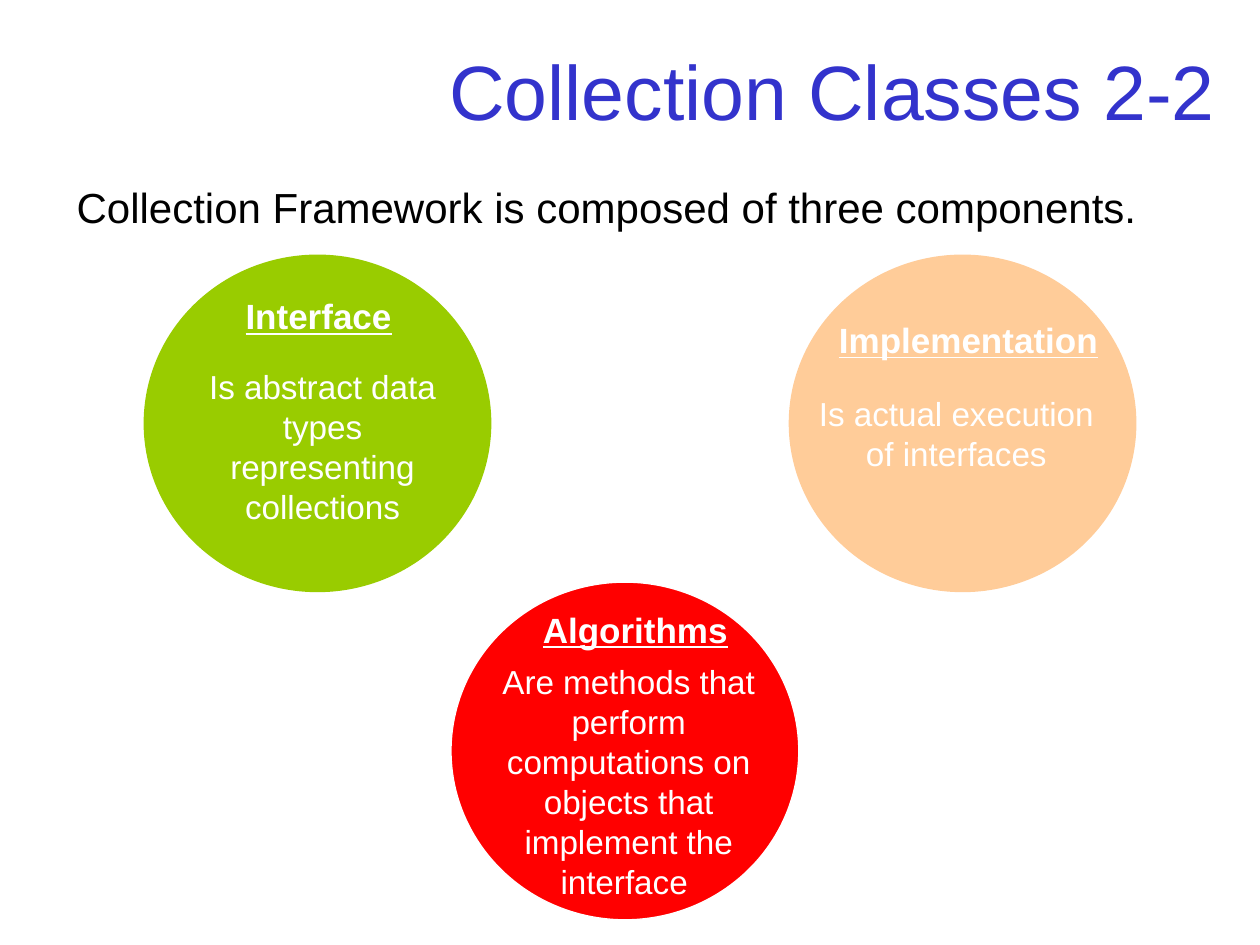
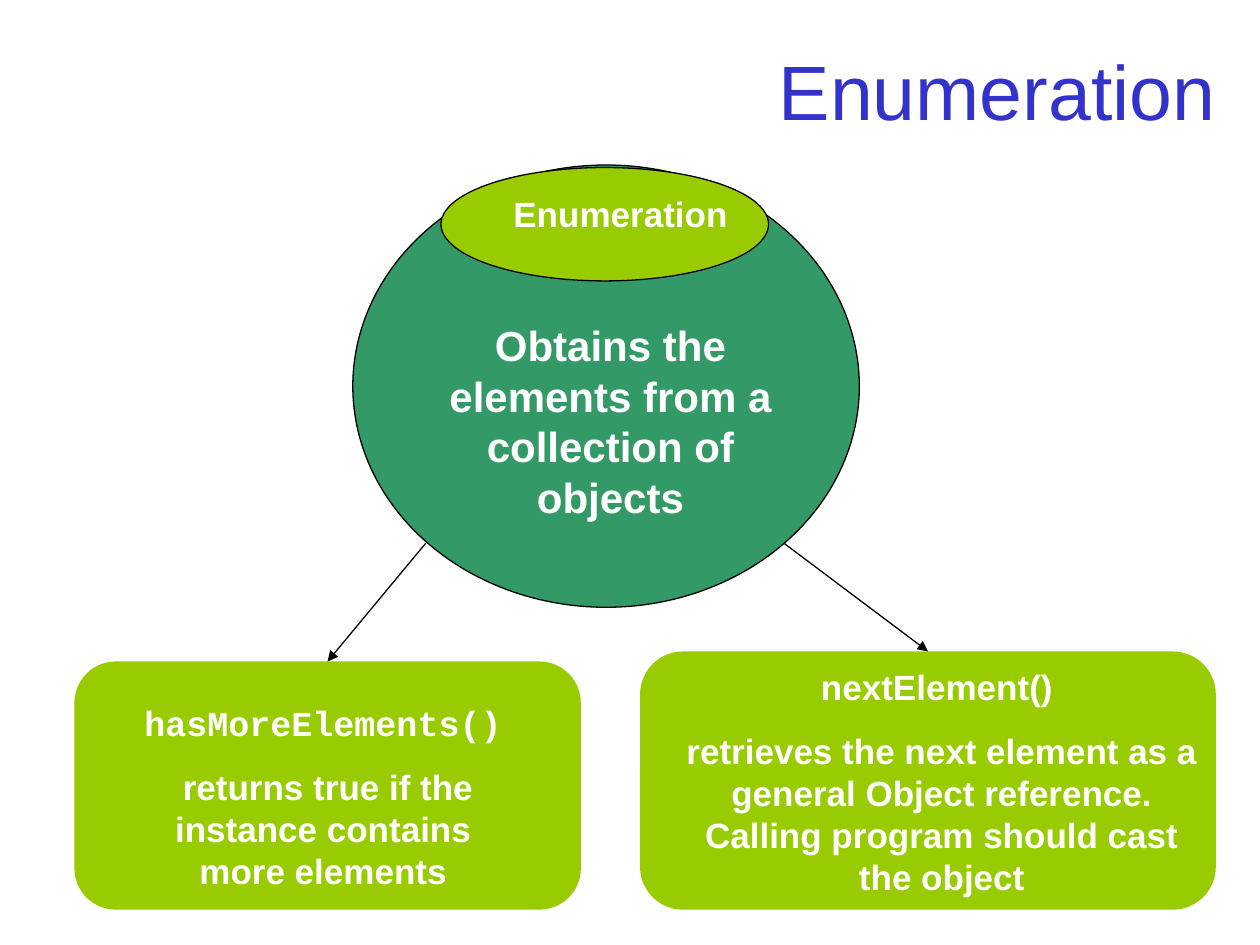
from dataclasses import dataclass
from typing import Optional

from lxml.etree import SubElement
from pptx import Presentation
from pptx.dml.color import RGBColor as Rgb
from pptx.enum.shapes import MSO_CONNECTOR as Connector, MSO_SHAPE as Preset
from pptx.enum.text import MSO_ANCHOR as Anchor, MSO_AUTO_SIZE as AutoSize, PP_ALIGN as Align
from pptx.oxml.ns import qn
from pptx.util import Inches, Pt


@dataclass(frozen=True)
class Theme:
    title: str = "3333CC"
    ink: str = "000000"
    paper: str = "FFFFFF"
    lime: str = "99CC00"
    red: str = "FF0000"
    peach: str = "FFCC99"
    sea: str = "339966"
    sans: str = "Arial"
    mono: str = "Courier New"
    title_size: int = 44
    lead_size: int = 24
    heading_size: int = 20
    detail_size: int = 19
    line_width: float = 0.75
    paragraph_gap: float = 12.5


THEME = Theme()


@dataclass(frozen=True)
class Box:
    left: float
    top: float
    width: float
    height: float

    def inches(self):
        return [Inches(v) for v in (self.left, self.top, self.width, self.height)]


@dataclass(frozen=True)
class Style:
    size: int
    color: str = THEME.paper
    bold: bool = False
    underline: bool = False
    font: str = THEME.sans


TITLE = Style(THEME.title_size, THEME.title)
LEAD = Style(THEME.lead_size, THEME.ink)
CORE = Style(THEME.lead_size, bold=True)
HEADING = Style(THEME.heading_size, bold=True, underline=True)
LABEL = Style(THEME.heading_size, bold=True)
CODE = Style(THEME.heading_size, bold=True, font=THEME.mono)
DETAIL = Style(THEME.detail_size)


@dataclass(frozen=True)
class Component:
    circle: Box
    fill: str
    heading: str
    heading_box: Box
    detail: str
    detail_box: Box
    outline: Optional[str] = None
    indent: float = 0


@dataclass(frozen=True)
class Method:
    panel: Box
    text_box: Box
    signature: str
    signature_style: Style
    purpose: str
    arrow_start: tuple[float, float]


COMPONENTS = [
    Component(Box(1.14, 2.02, 2.76, 2.68), THEME.lime,
              "Interface", Box(1.85, 2.29, 1.38, 0.44),
              "Is abstract data types representing collections",
              Box(1.06, 2.86, 2.5, 1.37), indent=0.5),
    Component(Box(3.58, 4.62, 2.76, 2.68), THEME.red,
              "Algorithms", Box(4.21, 4.78, 1.73, 0.44),
              "Are methods that perform computations on objects that implement the interface ",
              Box(3.74, 5.2, 2.5, 2), outline=THEME.paper),
    Component(Box(6.26, 2.02, 2.76, 2.68), THEME.peach,
              "Implementation", Box(6.56, 2.48, 2.54, 0.44),
              "Is actual execution of interfaces", Box(6.34, 3.07, 2.5, 0.74)),
]

METHODS = [
    Method(Box(0.59, 5.25, 4.02, 1.97), Box(1.03, 5.52, 3.07, 1.61),
           "hasMoreElements()", CODE,
           " returns true if the instance contains more elements", (3.38, 4.31)),
    Method(Box(5.08, 5.17, 4.57, 2.05), Box(5.31, 5.23, 4.33, 1.94),
           "nextElement() ", LABEL,
           "retrieves the next element as a general Object reference. "
           "Calling program should cast the object", (6.22, 4.31)),
]


def write(paragraph, text: str, style: Style, align: Align) -> None:
    paragraph.alignment = align
    run = paragraph.add_run()
    run.text = text
    font = run.font
    font.name, font.size = style.font, Pt(style.size)
    font.bold, font.underline = style.bold, style.underline
    font.color.rgb = Rgb.from_string(style.color)


def add_titled_slide(deck, title: str):
    slide = deck.slides.add_slide(deck.slide_layouts[5])
    heading = slide.shapes.title
    heading.left, heading.top, heading.width, heading.height = Box(0.75, 0.28, 9, 0.87).inches()
    frame = heading.text_frame
    frame.vertical_anchor = Anchor.MIDDLE
    frame.auto_size = AutoSize.NONE
    write(frame.paragraphs[0], title, TITLE, Align.RIGHT)
    return slide


def add_text(slide, box: Box, lines: list[tuple[str, Style]],
             align: Align = Align.CENTER, indent: float = 0) -> None:
    frame = slide.shapes.add_textbox(*box.inches()).text_frame
    frame.word_wrap = True
    frame.auto_size = AutoSize.SHAPE_TO_FIT_TEXT
    for index, (text, style) in enumerate(lines):
        paragraph = frame.add_paragraph() if index else frame.paragraphs[0]
        if index:
            paragraph.space_before = Pt(THEME.paragraph_gap)
        if indent:
            paragraph._p.get_or_add_pPr().set("marL", str(Inches(indent)))
        write(paragraph, text, style, align)


def add_filled(slide, preset: Preset, box: Box, fill: str, outline: Optional[str] = None):
    shape = slide.shapes.add_shape(preset, *box.inches())
    shape.shadow.inherit = False
    shape.fill.solid()
    shape.fill.fore_color.rgb = Rgb.from_string(fill)
    if outline:
        shape.line.color.rgb = Rgb.from_string(outline)
        shape.line.width = Pt(THEME.line_width)
    else:
        shape.line.fill.background()
    return shape


def add_arrow(slide, start: tuple[float, float], target) -> None:
    x, y = (Inches(v) for v in start)
    arrow = slide.shapes.add_connector(Connector.STRAIGHT, x, y, x, y)
    arrow.end_connect(target, 0)
    arrow.line.color.rgb = Rgb.from_string(THEME.ink)
    arrow.line.width = Pt(THEME.line_width)
    SubElement(arrow.line._get_or_add_ln(), qn("a:tailEnd"), type="triangle")
    SubElement(arrow._element.spPr, qn("a:effectLst"))


def add_component(slide, part: Component) -> None:
    add_filled(slide, Preset.OVAL, part.circle, part.fill, part.outline)
    add_text(slide, part.heading_box, [(part.heading, HEADING)], Align.LEFT)
    add_text(slide, part.detail_box, [(part.detail, DETAIL)], indent=part.indent)


def add_method(slide, method: Method):
    panel = add_filled(slide, Preset.ROUNDED_RECTANGLE, method.panel, THEME.lime)
    add_text(slide, method.text_box,
             [(method.signature, method.signature_style), (method.purpose, LABEL)])
    return panel


def build_components(deck) -> None:
    slide = add_titled_slide(deck, "Collection Classes 2-2")
    for part in COMPONENTS:
        add_component(slide, part)
    add_text(slide, Box(0.51, 1.39, 9.77, 0.55),
             [("Collection Framework is composed of three components.", LEAD)], Align.LEFT)


def build_enumeration(deck) -> None:
    slide = add_titled_slide(deck, "Enumeration")
    add_filled(slide, Preset.OVAL, Box(2.8, 1.31, 4.02, 3.51), THEME.sea, THEME.ink)
    add_filled(slide, Preset.OVAL, Box(3.5, 1.33, 2.6, 0.9), THEME.lime, THEME.ink)
    add_text(slide, Box(3.9, 1.48, 2.05, 0.44), [("Enumeration", LABEL)])
    add_text(slide, Box(3.35, 2.49, 2.99, 1.7),
             [("Obtains the elements from a collection of objects", CORE)])
    panels = [add_method(slide, method) for method in METHODS]
    for method, panel in zip(METHODS, panels):
        add_arrow(slide, method.arrow_start, panel)


def main() -> None:
    deck = Presentation()
    deck.slide_width, deck.slide_height = Inches(10), Inches(7.5)
    build_components(deck)
    build_enumeration(deck)
    deck.save("out.pptx")


if __name__ == "__main__":
    main()
